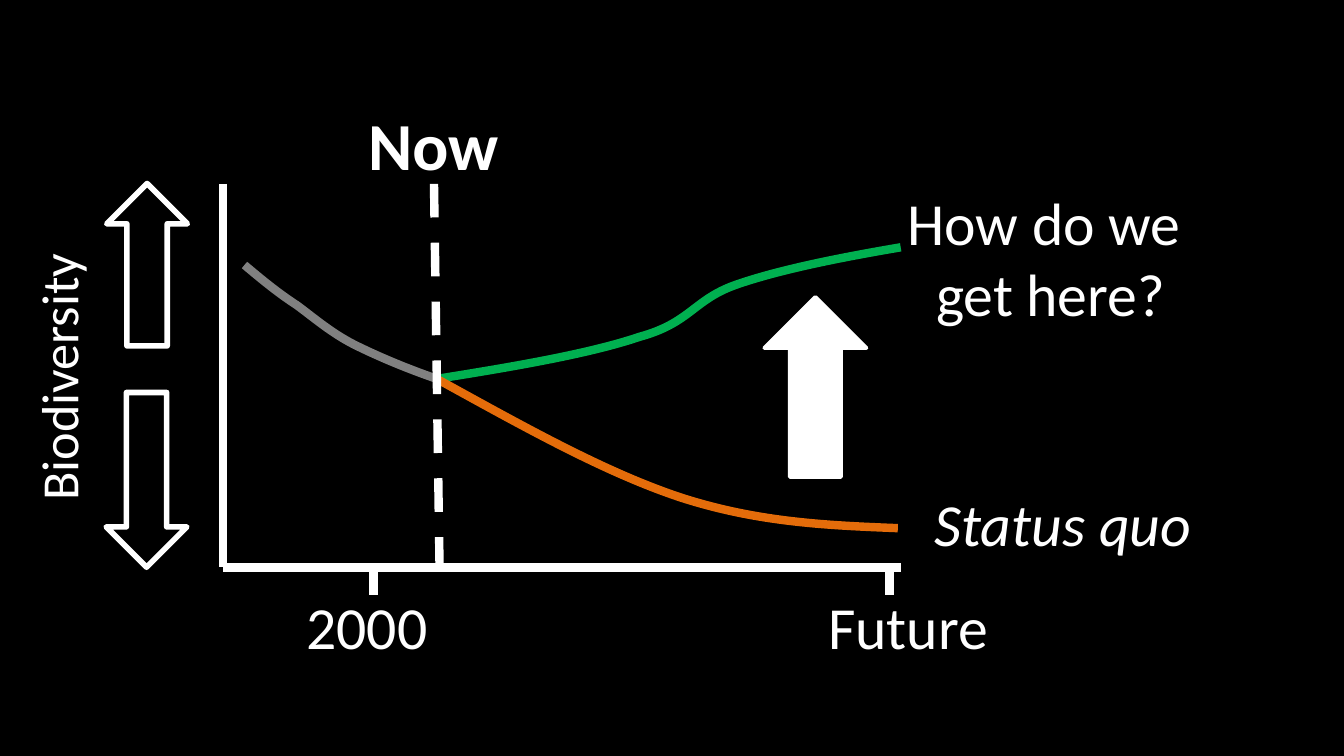
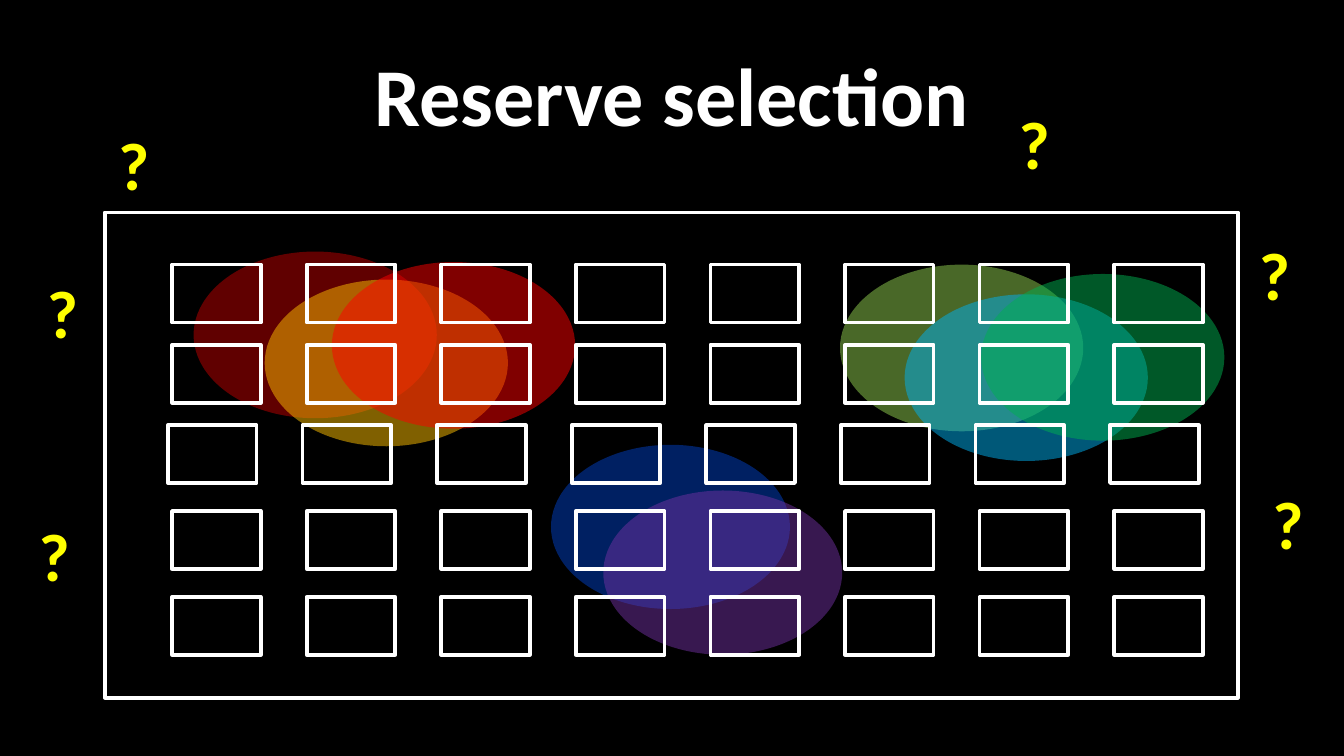
from dataclasses import dataclass

from lxml import etree
from pptx import Presentation
from pptx import util as u
from pptx.dml.color import RGBColor
from pptx.enum import dml, shapes, text
from pptx.oxml.ns import qn

Pt = u.Pt
Kind = shapes.MSO_SHAPE


@dataclass(frozen=True)
class Theme:
    """Colours, type sizes and line widths of the deck."""
    back: str = "000000"
    ink: str = "FFFFFF"
    mark: str = "FFFF00"
    past: str = "808080"
    good: str = "00B050"
    bad: str = "E46C0A"
    font: str = "Calibri"
    title: int = 44
    strong: int = 36
    label: int = 32
    axis: int = 28
    thick: float = 4.5
    mid: float = 3
    thin: float = 2


T = Theme()


def rgb(code):
    """Turn a hex code into a colour."""
    return RGBColor.from_string(code)


def apply(item, values):
    """Set each named value on an object."""
    for name, value in values.items():
        setattr(item, name, value)


def page(deck):
    """Add a blank slide with the shared background."""
    slide = deck.slides.add_slide(deck.slide_layouts[6])
    fill = slide.background.fill
    fill.solid()
    fill.fore_color.rgb = rgb(T.back)
    return slide


def place(box, spot):
    """Shift a left, top, width, height spot into a box."""
    x, y, w, h = spot
    return [Pt(n) for n in (box[0] + x, box[1] + y, w, h)]


def pen(line, color, width):
    """Style a line."""
    line.color.rgb = rgb(color)
    line.width = Pt(width)


def shape(slide, box, kind, spot, fill=None, line=None, width=T.thin,
          alpha=None, turn=0):
    """Draw a preset shape."""
    item = slide.shapes.add_shape(kind, *place(box, spot))
    item.shadow.inherit = False
    item.rotation = turn
    if fill:
        item.fill.solid()
        item.fill.fore_color.rgb = rgb(fill)
    else:
        item.fill.background()
    if line:
        pen(item.line, line, width)
    else:
        item.line.fill.background()
    if alpha:
        color = item.fill._xPr.find(".//" + qn("a:srgbClr"))
        etree.SubElement(color, qn("a:alpha"), val=str(alpha * 1000))


def stroke(slide, box, start, end, dash=None):
    """Draw a thick straight line."""
    ends = [Pt(box[i] + p[i]) for p in (start, end) for i in (0, 1)]
    item = slide.shapes.add_connector(shapes.MSO_CONNECTOR.STRAIGHT, *ends)
    pen(item.line, T.ink, T.thick)
    item.line.dash_style = dash
    etree.SubElement(item._element.spPr, qn("a:effectLst"))


def curve(slide, box, points, color):
    """Draw a chain of cubic curves through every third point."""
    dots = [(Pt(box[0] + x), Pt(box[1] + y)) for x, y in points]
    form = slide.shapes.build_freeform(*dots[0])
    form.add_line_segments(dots[1:], close=False)
    item = form.convert_to_shape()
    item.shadow.inherit = False
    item.fill.background()
    pen(item.line, color, T.thick)
    steps = item._element.xpath(".//a:lnTo")
    for first, *rest in zip(*[iter(steps)] * 3):
        first.tag = qn("a:cubicBezTo")
        for step in rest:
            first.append(step[0])
            step.getparent().remove(step)


def words(slide, box, spot, lines, size=T.label, color=T.ink, wrap=False,
          center=False, turn=0, middle=False, **style):
    """Write lines of text."""
    item = slide.shapes.add_textbox(*place(box, spot))
    item.rotation = turn
    frame = item.text_frame
    fit = text.MSO_AUTO_SIZE
    anchor = text.MSO_ANCHOR
    apply(frame, {
        "word_wrap": wrap,
        "auto_size": fit.NONE if middle else fit.SHAPE_TO_FIT_TEXT,
        "vertical_anchor": anchor.MIDDLE if middle else anchor.TOP,
    })
    frame.text = "\n".join(lines)
    for para in frame.paragraphs:
        if center:
            para.alignment = text.PP_ALIGN.CENTER
        for run in para.runs:
            apply(run.font, {"name": T.font, "size": Pt(size), **style})
            run.font.color.rgb = rgb(color)


def axes(slide, box):
    """Draw both axes with ticks, labels and direction arrows."""
    _, _, w, h = box
    stroke(slide, box, (0, 0), (0, h))
    stroke(slide, box, (0, h), (w, h))
    for x, left, wide, name in ((80.5, 37.5, 80, "2000"),
                                (357, 317, 101.5, "Future")):
        stroke(slide, box, (x, h), (x, h + 15))
        words(slide, box, (left, h + 8.5, wide, 46), [name])
    words(slide, box, (-162.7, 82.2, 148.3, 41), ["Biodiversity"], T.axis,
          turn=270)
    for spot, turn in (((-84.2, 21.7, 87, 43.2), 270),
                       ((-87.8, 137, 93.6, 43.2), 90)):
        shape(slide, box, Kind.RIGHT_ARROW, spot, line=T.ink, width=T.mid,
              turn=turn)


def trends(slide, box):
    """Draw the past, the two futures and their captions."""
    now = (114.5, 104.5)
    curve(slide, box, [
        now, (155.5, 98), (196.5, 91), (223, 82), (250.5, 74.5), (252, 62),
        (275, 54), (298, 46), (330.5, 39.5), (363, 34)], T.good)
    words(slide, box, (330, -2.7, 226.8, 85), ["How do we ", "get here?"],
          wrap=True, center=True)
    words(slide, box, (70.6, -46.7, 85, 51), ["Now"], T.strong, bold=True)
    shape(slide, box, Kind.UP_ARROW, (290, 60.6, 54.7, 96.5), T.ink, T.ink)
    words(slide, box, (373, 158.5, 154, 46), ["Status quo"], center=True,
          italic=True)
    curve(slide, box, [
        now, (160, 129.5), (205, 155), (246.5, 168.5), (287.5, 181.5),
        (324, 183), (361.5, 184.5)], T.bad)
    curve(slide, box, [
        (11.5, 43.5), (21, 51.5), (29.5, 58.5), (39.5, 65), (49, 72),
        (57.5, 79.5), (70, 86), (83, 92.5), (98.5, 99), now], T.past)
    stroke(slide, box, (113, 0), (116, box[3]), dml.MSO_LINE.DASH)


def ranges(slide, box):
    """Draw the overlapping species ranges."""
    small, large = (128, 88), (130.3, 89.3)
    for x, y, size, color in (
            (239, 124.5, small, "0041C4"), (267, 149, small, "7030A0"),
            (47.5, 21, large, "C00000"), (85.6, 36, large, "FFC000"),
            (121.6, 26.6, large, "FF0000"), (393.8, 28, large, "92D050"),
            (428.4, 43.9, large, "00B0F0"), (469.4, 33, large, T.good)):
        shape(slide, box, Kind.OVAL, (x, y, *size), color, alpha=50)


def sites(slide, box):
    """Draw the frame and its grid of candidate sites."""
    shape(slide, box, Kind.RECTANGLE, (0, 0, *box[2:]), line=T.ink)
    for left, top in ((36, 28), (36, 71), (33.8, 114), (36, 160), (36, 206)):
        for col in range(8):
            spot = (left + col * 72.1, top, 47.5, 31)
            shape(slide, box, Kind.RECTANGLE, spot, line=T.ink)


def marks(slide, box):
    """Scatter question marks around the frame."""
    for x, y in ((0, -51.2), (-38.2, 28), (-42.5, 158.4), (482.4, -62.7),
                 (611.2, 7.9), (618.4, 141)):
        words(slide, box, (x, y, 31.7, 51), ["?"], T.strong, T.mark, bold=True)


def main():
    """Build and save the deck."""
    deck = Presentation()
    apply(deck, {"slide_width": Pt(720), "slide_height": Pt(405)})

    slide = page(deck)
    plot = (119.5, 98.5, 363, 205.5)
    axes(slide, plot)
    trends(slide, plot)

    slide = page(deck)
    field = (56.2, 113.8, 607, 260)
    ranges(slide, field)
    sites(slide, field)
    words(slide, (36, 16.5), (0, 0, 648, 67.5), ["Reserve selection"],
          T.title, wrap=True, center=True, middle=True, bold=True)
    marks(slide, field)
    deck.save("out.pptx")


if __name__ == "__main__":
    main()
